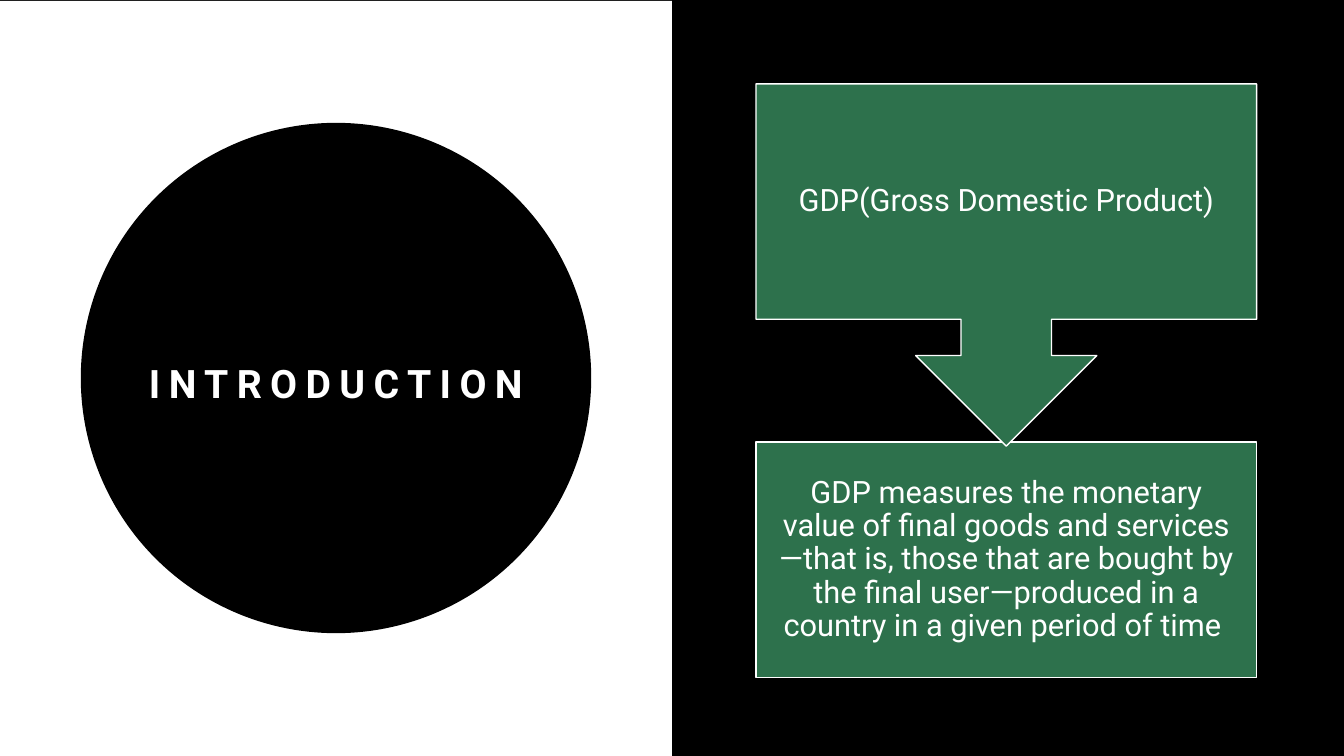
import pptx
import pptx.dml.color
import pptx.enum.shapes
import pptx.enum.text
import pptx.util

COLOURS = {"black": "000000", "white": "FFFFFF", "green": "2D714C"}
FONT = "Roboto"
WIDTH, HEIGHT = 13.33, 7.5
SHAPES = pptx.enum.shapes.MSO_SHAPE
DEFINITION = (
    "GDP measures the monetary value of final goods and services—that is, "
    "those that are bought by the final user—produced in a country "
    "in a given period of time "
)


def colour(name):
    return pptx.dml.color.RGBColor.from_string(COLOURS[name])


def inches(box):
    return [pptx.util.Inches(length) for length in box]


def add_filled_shape(slide, kind, box, fill, line=None):
    shape = slide.shapes.add_shape(kind, *inches(box))
    shape.shadow.inherit = False
    shape.fill.solid()
    shape.fill.fore_color.rgb = colour(fill)
    if line:
        shape.line.color.rgb = colour(line)
        shape.line.width = pptx.util.Pt(1)
    else:
        shape.line.fill.background()
    return shape


def set_text(shape, text, size, line_spacing, margin, bold=False):
    """Write one centred white paragraph and return its run."""
    frame = shape.text_frame
    frame.text = text
    frame.word_wrap = True
    frame.auto_size = pptx.enum.text.MSO_AUTO_SIZE.NONE
    frame.vertical_anchor = pptx.enum.text.MSO_ANCHOR.MIDDLE
    frame.margin_left = frame.margin_right = pptx.util.Inches(margin)
    frame.margin_top = frame.margin_bottom = pptx.util.Inches(margin)
    paragraph = frame.paragraphs[0]
    paragraph.alignment = pptx.enum.text.PP_ALIGN.CENTER
    paragraph.line_spacing = line_spacing
    run = paragraph.runs[0]
    run.font.name = FONT
    run.font.size = pptx.util.Pt(size)
    run.font.bold = bold
    run.font.color.rgb = colour("white")
    return run


def add_title_panel(slide, box):
    left, top, width, height = box
    add_filled_shape(slide, SHAPES.RECTANGLE, (left, top + 0.01, width, height), "white")

    diameter = 0.675 * height
    circle_box = (left + (width - diameter) / 2, top + (height - diameter) / 2,
                  diameter, diameter)
    circle = add_filled_shape(slide, SHAPES.OVAL, circle_box, "black")

    title = slide.shapes.title
    title_width, title_height = 0.6 * width, height / 3
    title.left, title.top, title.width, title.height = inches(
        (left + (width - title_width) / 2, top + (height - title_height) / 2,
         title_width, title_height))
    run = set_text(title, "INTRODUCTION", 28, 1.2, 0.05, bold=True)
    run.font._element.set("spc", "600")
    circle.element.addnext(title.element)


def add_definition_flow(slide, box):
    """Stack the definition under an arrow callout that names the term."""
    left, top, width, height = box
    definition_height = 0.397 * height
    callout_height = 0.61 * height
    definition = add_filled_shape(
        slide, SHAPES.RECTANGLE,
        (left, top + height - definition_height, width, definition_height),
        "green", "white")
    callout = add_filled_shape(
        slide, SHAPES.DOWN_ARROW_CALLOUT, (left, top, width, callout_height),
        "green", "white")
    set_text(definition, DEFINITION, 22, 0.9, 0.17)
    set_text(callout, "GDP(Gross Domestic Product)", 22, 0.9, 0.17)


def main():
    presentation = pptx.Presentation()
    presentation.slide_width = pptx.util.Inches(WIDTH)
    presentation.slide_height = pptx.util.Inches(HEIGHT)
    slide = presentation.slides.add_slide(presentation.slide_layouts[5])
    slide.background.fill.solid()
    slide.background.fill.fore_color.rgb = colour("black")

    half = WIDTH / 2
    add_title_panel(slide, (0, 0, half, HEIGHT))
    margin = half / 8
    add_definition_flow(slide, (half + margin, margin, 0.745 * half, 5.89))
    presentation.save("out.pptx")


if __name__ == "__main__":
    main()
